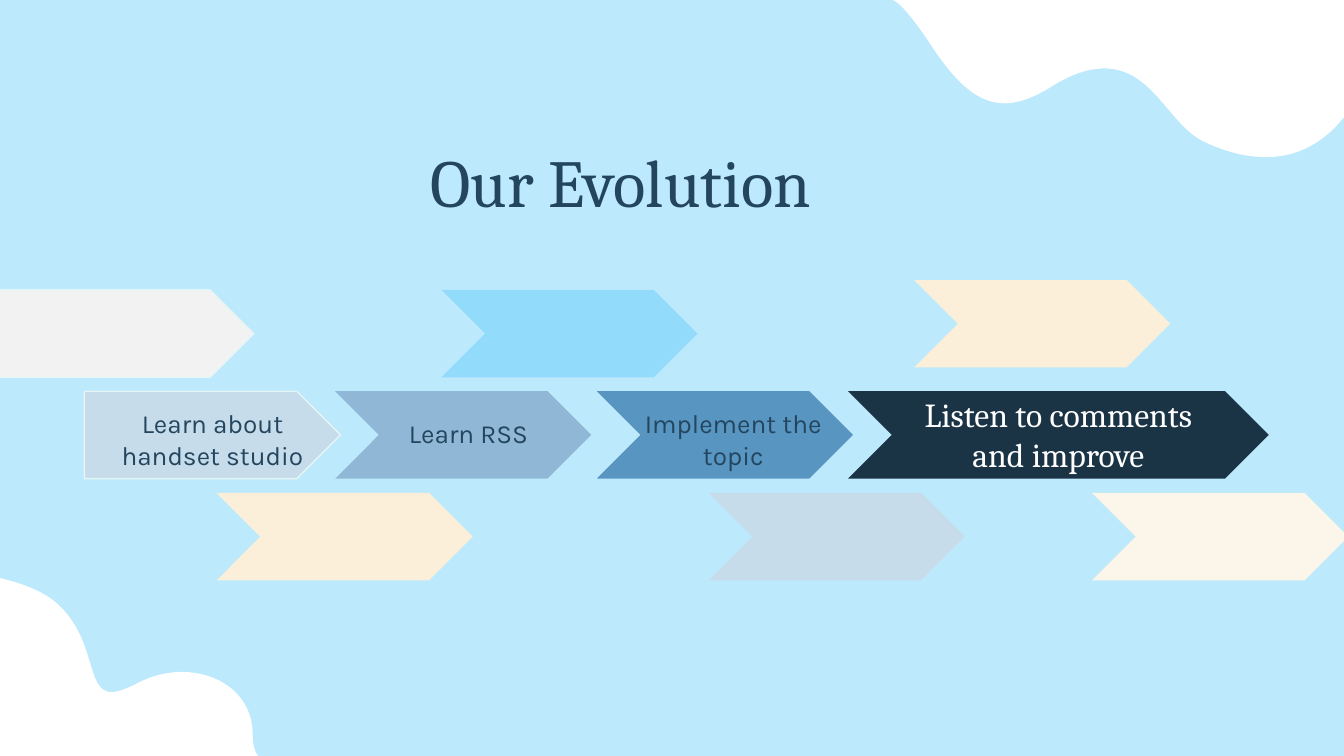
from lxml.etree import SubElement
from pptx import Presentation
from pptx.dml.color import RGBColor
from pptx.enum.shapes import MSO_SHAPE
from pptx.enum.text import MSO_ANCHOR, PP_ALIGN
from pptx.oxml.ns import qn
from pptx.util import Pt

# Content
TITLE = "Our Evolution"
TITLE_FORMAT = {"name": "Cambria", "size": Pt(36), "color": "23455E"}
LABEL_FORMAT = {"name": "Karla", "size": Pt(14), "color": "23455E"}
FINAL_FORMAT = {"name": "Cambria", "size": Pt(18), "color": "FFFFFF"}
FINAL_STEP = "Listen to comments and improve"
LABELS = [  # text, left, top
    ("Learn about handset studio", 48, 211.3),
    ("Implement the topic", 327, 211.3),
    ("Learn RSS", 185.2, 216.4),
]

# Arrows: left, top, fill; the first of each flow has a flat, outlined start
ARROW_W, ARROW_H = 137.2, 46.8
UPPER, MIDDLE, LOWER = 155.3, 209.6, 264.1
STEPS = [(45.2, MIDDLE, "C7DCEA"), (179.6, MIDDLE, "90B8D6"),
         (319.8, MIDDLE, "5895C1"), (454.3, MIDDLE, "1A3446")]
ACCENTS = [(-1.2, UPPER, "F2F2F2"), (116.1, LOWER, "FBEFDA"),
           (236.5, UPPER, "93DBFA"), (379.7, LOWER, "C7DCEA"),
           (489.8, 150, "FBEFDA"), (585.1, LOWER, "FCF5E9")]
FINAL_W = 225.4

# Clouds: a start point, then lines (one point) and curves (three points)
CLOUDS = [
    [[(678.2, 84.2)],
     [(734.4, 84.2), (744.5, 0), (744.5, 0)],
     [(478, 0)],
     [(478.8, 0), (483.8, 1.4), (499, 24.5)],
     [(511.9, 43.9), (523.4, 55.4), (538.6, 55.4)],
     [(545, 55.4), (553, 52.6), (561.6, 47.5)],
     [(573.8, 39.6), (583.2, 36.7), (591.8, 36.7)],
     [(617.8, 36.7), (626.4, 67.7), (645.8, 76.3)],
     [(658, 82), (668.9, 84.2), (678.2, 84.2)]],
    [[(-47.5, 305.3)],
     [(-69.8, 305.3), (-87.8, 307.4), (-87.8, 307.4)],
     [(-33.8, 428.4)],
     [(163.4, 428.4)],
     [(172.8, 428.4), (174.2, 415.4), (165.6, 412.6)],
     [(150.5, 409), (135.4, 414), (135.4, 393.8)],
     [(135.4, 372.2), (117.4, 360), (97.2, 360)],
     [(89.3, 360), (80.6, 362.2), (72.7, 366.5)],
     [(67, 369.4), (62.6, 370.8), (59.8, 370.8)],
     [(45.4, 370.8), (52.6, 341.3), (28.8, 321.8)],
     [(10.8, 308.2), (-21.6, 305.3), (-47.5, 305.3)]],
]


def rgb(color):
    return RGBColor.from_string(color)


def paint(sp, fill, line=None):
    sp.shadow.inherit = False
    sp.fill.solid()
    sp.fill.fore_color.rgb = rgb(fill)
    if line:
        sp.line.color.rgb = rgb(line)
        sp.line.width = Pt(0.75)
    else:
        sp.line.fill.background()


def write(sp, text, font, para=None, **frame):
    tf = sp.text_frame
    frame = {"word_wrap": True, "margin_left": Pt(7.2), "margin_right": Pt(7.2),
             "margin_top": Pt(7.2), "margin_bottom": Pt(7.2),
             "vertical_anchor": MSO_ANCHOR.TOP, **frame}
    for name, value in frame.items():
        setattr(tf, name, value)
    p = tf.paragraphs[0]
    for name, value in (para or {}).items():
        setattr(p, name, value)
    r = p.add_run()
    r.text = text
    for name, value in font.items():
        if name == "color":
            r.font.color.rgb = rgb(value)
        else:
            setattr(r.font, name, value)


def add_text(left, top, width, height, *args):
    sp = s.shapes.add_textbox(Pt(left), Pt(top), Pt(width), Pt(height))
    write(sp, *args)


def add_cloud(segments):
    start, *ends = [(Pt(seg[-1][0]), Pt(seg[-1][1])) for seg in segments]
    builder = s.shapes.build_freeform(*start)
    builder.add_line_segments(ends, close=True)
    sp = builder.convert_to_shape()
    paint(sp, "FFFFFF")
    # Bend the straight segments that have control points
    lines = list(sp.element.iter(qn("a:lnTo")))
    for line, seg in zip(lines, segments[1:]):
        if len(seg) == 3:
            line.tag = qn("a:cubicBezTo")
            for child in list(line):
                line.remove(child)
            for x, y in seg:
                SubElement(line, qn("a:pt"), x=str(Pt(x) - sp.left),
                           y=str(Pt(y) - sp.top))


def add_arrows(arrows, last_width=ARROW_W):
    for i, (left, top, fill) in enumerate(arrows):
        kind = MSO_SHAPE.CHEVRON if i else MSO_SHAPE.PENTAGON
        width = last_width if i == len(arrows) - 1 else ARROW_W
        sp = s.shapes.add_shape(kind, Pt(left), Pt(top), Pt(width), Pt(ARROW_H))
        sp.adjustments[0] = 0.5
        paint(sp, fill, None if i else "E4F5F6")
    return sp


prs = Presentation()
prs.slide_width, prs.slide_height = Pt(720), Pt(405)
s = prs.slides.add_slide(prs.slide_layouts[6])
s.background.fill.solid()
s.background.fill.fore_color.rgb = rgb("BDE9FC")

# Corner clouds and title
for cloud in CLOUDS:
    add_cloud(cloud)
add_text(223.4, 76.3, 273.6, 108, TITLE, TITLE_FORMAT, {"line_spacing": 0.8})

# Main flow with its labels
final = add_arrows(STEPS, FINAL_W)
write(final, FINAL_STEP, FINAL_FORMAT, {"alignment": PP_ALIGN.CENTER},
      vertical_anchor=MSO_ANCHOR.MIDDLE, margin_bottom=Pt(7.9))
for text, left, top in LABELS:
    add_text(left, top, 131.8, 65.5, text, LABEL_FORMAT,
             {"alignment": PP_ALIGN.CENTER, "space_after": Pt(16)})

# Accent arrows above and below
add_arrows(ACCENTS)

prs.save("out.pptx")
